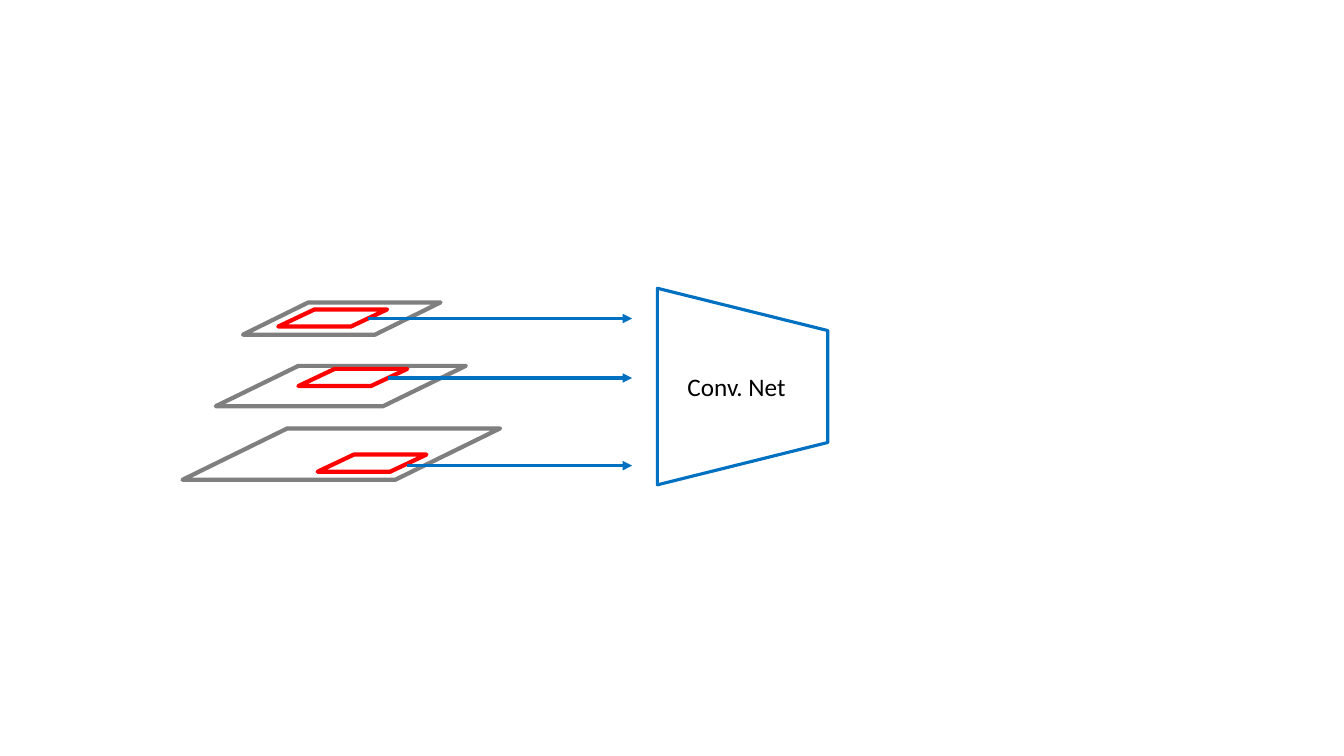
from lxml import etree
from pptx import Presentation
from pptx import util as u
from pptx.dml.color import RGBColor
from pptx.enum import shapes, text
from pptx.oxml import ns

deck = Presentation()
deck.slide_width = u.Inches(13.33)
deck.slide_height = u.Inches(7.5)
slide = deck.slides.add_slide(deck.slide_layouts[6])

GRAY, RED, BLUE = "7F7F7F", "FF0000", "0070C0"


def outline(points, color, width):
    pts = [(u.Inches(x), u.Inches(y)) for x, y in points]
    pen = slide.shapes.build_freeform(*pts[0])
    pen.add_line_segments(pts[1:], close=True)
    shape = pen.convert_to_shape()
    shape.shadow.inherit = False
    shape.fill.background()
    shape.line.color.rgb = RGBColor.from_string(color)
    shape.line.width = u.Pt(width)


def label(words, left, top, width, height, size=18, font="Calibri", color="000000"):
    box = slide.shapes.add_textbox(*map(u.Inches, (left, top, width, height)))
    frame = box.text_frame
    frame.word_wrap = False
    frame.auto_size = text.MSO_AUTO_SIZE.SHAPE_TO_FIT_TEXT
    run = frame.paragraphs[0].add_run()
    run.text = words
    run.font.size = u.Pt(size)
    run.font.name = font
    run.font.color.rgb = RGBColor.from_string(color)


layers = [(1.81, 4.25, 3.15, 0.51, 1.04), (2.14, 3.63, 2.48, 0.4, 0.82),
          (2.41, 3, 1.96, 0.32, 0.65)]
crops = [(2.76, 3.07), (2.96, 3.66), (3.15, 4.51)]
planes = [(*layer, GRAY) for layer in layers]
planes += [(x, y, 1.08, 0.17, 0.36, RED) for x, y in crops]

for x, y, w, h, skew, color in planes:
    outline([(x, y + h), (x + skew, y), (x + w, y), (x + w - skew, y + h)], color, 3)

for x, y in crops:
    mid = y + 0.09
    if y > 4:
        mid = 4.62
    arrow = slide.shapes.add_connector(
        shapes.MSO_CONNECTOR.STRAIGHT,
        *map(u.Inches, (x + 0.89, mid, 6.27, mid)))
    arrow.line.color.rgb = RGBColor.from_string(BLUE)
    arrow.line.width = u.Pt(2.25)
    tip = etree.SubElement(arrow.line._get_or_add_ln(), ns.qn("a:tailEnd"))
    tip.set("type", "triangle")
    etree.SubElement(arrow._element.spPr, ns.qn("a:effectLst"))

outline([(6.52, 2.86), (8.21, 3.28), (8.21, 4.39), (6.52, 4.81)], BLUE, 2.25)
label("Conv. Net", 6.72, 3.63, 1.32, 0.4)

deck.save("out.pptx")
